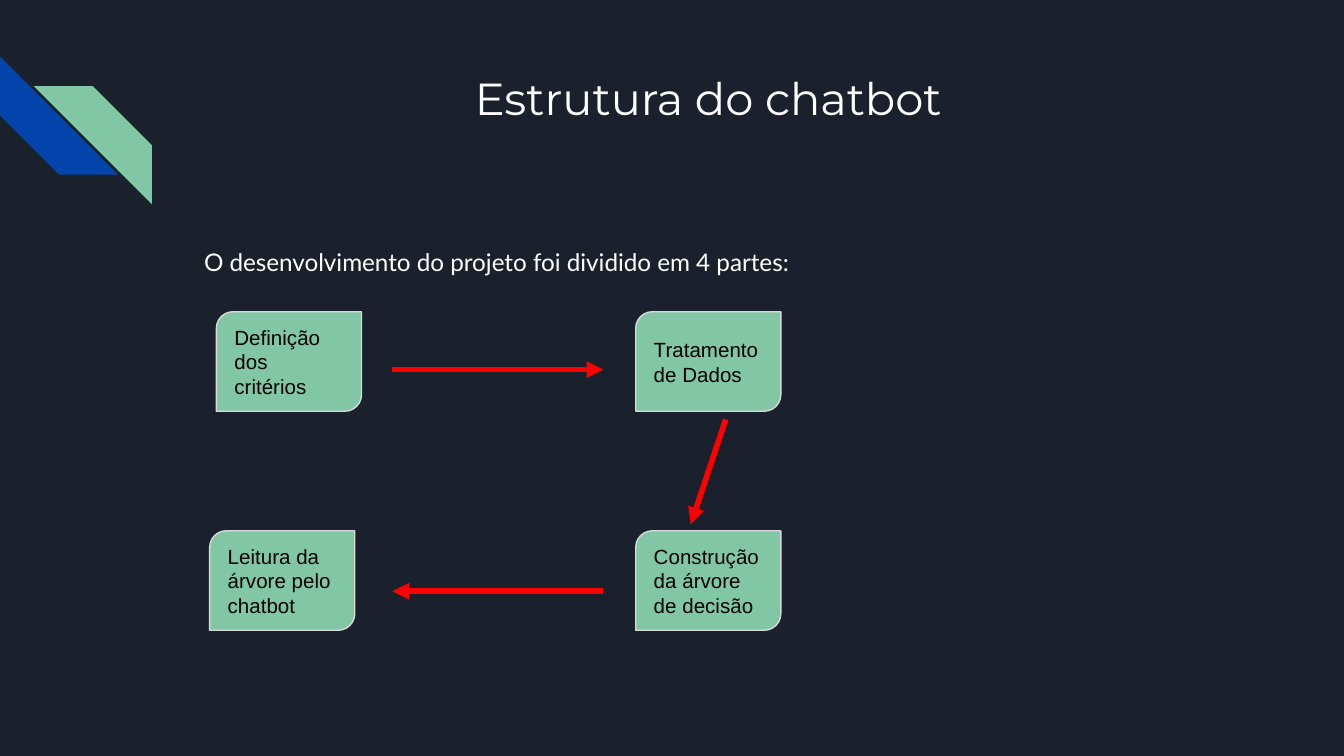
import pptx
import pptx.util
import pptx.dml.color
import pptx.enum.shapes
import pptx.enum.text
import pptx.oxml
import pptx.oxml.ns
from pptx.util import Inches

RGBColor = pptx.dml.color.RGBColor
Shape = pptx.enum.shapes.MSO_SHAPE
Align = pptx.enum.text.PP_ALIGN
Anchor = pptx.enum.text.MSO_ANCHOR

NIGHT = RGBColor(0x1B, 0x21, 0x2C)
BLUE = RGBColor(0x01, 0x45, 0xAC)
GREEN = RGBColor(0x82, 0xC7, 0xA5)
LIGHT_GRAY = RGBColor(0xD9, 0xD9, 0xD9)
RED = RGBColor(0xFF, 0x00, 0x00)
WHITE = RGBColor(0xFF, 0xFF, 0xFF)
BLACK = RGBColor(0x00, 0x00, 0x00)

SLIDE_WIDTH = 10
SLIDE_HEIGHT = SLIDE_WIDTH * 9 / 16
STEP_WIDTH, STEP_HEIGHT = 1.08, 0.74


def write_text(shape, text, font_name, size, color, align, anchor):
    frame = shape.text_frame
    frame.word_wrap = True
    frame.vertical_anchor = anchor
    frame.margin_left = frame.margin_right = Inches(0.1)
    frame.margin_top = frame.margin_bottom = Inches(0.1)
    paragraph = frame.paragraphs[0]
    paragraph.text = text
    paragraph.alignment = align
    paragraph.font.name = font_name
    paragraph.font.size = pptx.util.Pt(size)
    paragraph.font.color.rgb = color
    return paragraph


def add_text(slide, box, text, font_name, size, align):
    label = slide.shapes.add_textbox(*map(Inches, box))
    return write_text(label, text, font_name, size, WHITE, align, Anchor.TOP)


def add_stripe(slide, left, top, color):
    stripe = slide.shapes.add_shape(
        Shape.DIAGONAL_STRIPE, Inches(left), Inches(top), Inches(0.88), Inches(0.88))
    stripe.adjustments[0] = 0.5
    stripe.shadow.inherit = False
    stripe.fill.solid()
    stripe.fill.fore_color.rgb = color
    stripe.line.fill.background()
    return stripe


def add_corner_stripes(slide, left, top):
    add_stripe(slide, left, top, BLUE).rotation = 270
    green_stripe = add_stripe(slide, left + 0.25, top + 0.22, GREEN)
    green_stripe._element.spPr.xfrm.set("flipH", "1")


def add_step(slide, left, top, text):
    step = slide.shapes.add_shape(
        Shape.ROUND_2_DIAG_RECTANGLE, Inches(left), Inches(top),
        Inches(STEP_WIDTH), Inches(STEP_HEIGHT))
    step.adjustments[0] = 0.167
    step.adjustments[1] = 0
    step.shadow.inherit = False
    step.fill.solid()
    step.fill.fore_color.rgb = GREEN
    step.line.color.rgb = LIGHT_GRAY
    step.line.width = pptx.util.Pt(0.75)
    write_text(step, text, "Arial", 11, BLACK, Align.LEFT, Anchor.MIDDLE)


def add_arrow(slide, start, end):
    arrow = slide.shapes.add_connector(
        pptx.enum.shapes.MSO_CONNECTOR.STRAIGHT, *map(Inches, (*start, *end)))
    arrow.line.color.rgb = RED
    arrow.line.width = pptx.util.Pt(3)
    line = arrow.line._get_or_add_ln()
    line.append(pptx.oxml.parse_xml(
        f'<a:tailEnd {pptx.oxml.ns.nsdecls("a")} type="triangle"/>'))
    arrow._element.spPr.append(pptx.oxml.parse_xml(
        f'<a:effectLst {pptx.oxml.ns.nsdecls("a")}/>'))


def add_flow(slide, left, top):
    """Draw the four project steps clockwise, with arrows in the gaps."""
    right, bottom = left + 3.17, top + 1.63
    add_step(slide, left + 0.05, top, "Definição dos critérios")
    add_step(slide, right, top, "Tratamento de Dados")
    add_step(slide, right, bottom, "Construção da árvore de decisão")
    add_step(slide, left, bottom, "Leitura da árvore pelo chatbot")

    arrow_left, arrow_right = left + 1.36, left + 2.93
    add_arrow(slide, (arrow_left, top + 0.43), (arrow_right, top + 0.43))
    add_arrow(slide, (right + 0.67, top + 0.8), (right + 0.41, bottom - 0.05))
    add_arrow(slide, (arrow_right, bottom + 0.45), (arrow_left, bottom + 0.45))


def main():
    presentation = pptx.Presentation()
    presentation.slide_width = Inches(SLIDE_WIDTH)
    presentation.slide_height = Inches(SLIDE_HEIGHT)
    slide = presentation.slides.add_slide(presentation.slide_layouts[6])
    slide.background.fill.solid()
    slide.background.fill.fore_color.rgb = NIGHT

    add_corner_stripes(slide, 0, 0.42)
    add_text(slide, (1.42, 0.43, 7.7, 1), "Estrutura do chatbot",
             "Montserrat", 24, Align.CENTER)
    intro = add_text(slide, (1.42, 1.71, 7.7, 3.18),
                     "O desenvolvimento do projeto foi dividido em 4 partes:",
                     "Lato", 13, Align.LEFT)
    intro.line_spacing = 1.15
    add_flow(slide, 1.56, 2.32)
    presentation.save("out.pptx")


if __name__ == "__main__":
    main()
